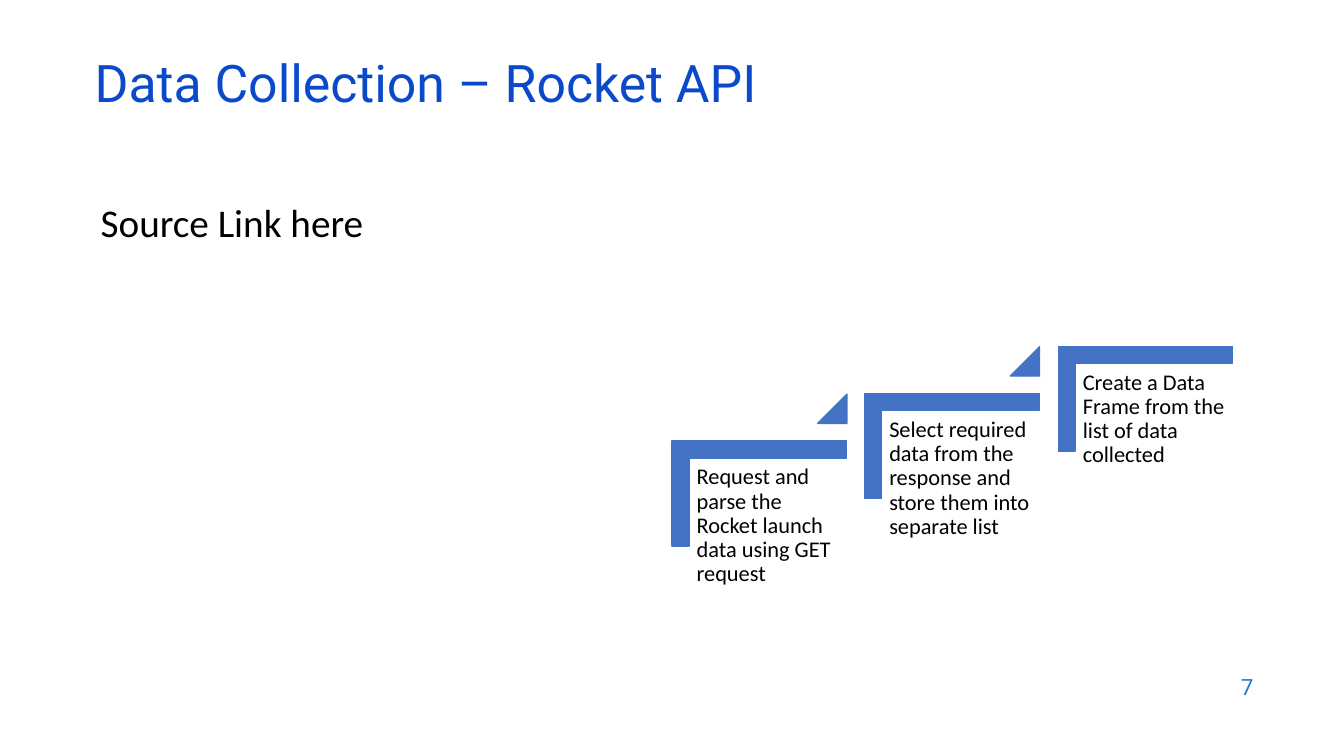
from dataclasses import dataclass
from typing import Any

from pptx import Presentation
from pptx.dml.color import RGBColor
from pptx.enum.shapes import MSO_SHAPE
from pptx.enum.text import MSO_ANCHOR, PP_ALIGN
from pptx.slide import Slide
from pptx.util import Emu, Pt

SCALE = 9144


@dataclass(frozen=True)
class Theme:
    title: str = "0B49CB"
    page: str = "1C7DDB"
    body: str = "000000"
    step: str = "4472C4"
    head: str = "Roboto"
    text: str = "Calibri"
    large: int = 37
    mid: int = 28
    small: int = 16


@dataclass(frozen=True)
class Box:
    left: int
    top: int
    width: int
    height: int

    def emu(self) -> list[Emu]:
        return [px(n) for n in (self.left, self.top, self.width, self.height)]


@dataclass(frozen=True)
class Label:
    text: str
    box: Box
    font: str
    size: int
    color: str
    frame: dict[str, Any]
    para: dict[str, Any]


@dataclass(frozen=True)
class Mark:
    kind: MSO_SHAPE
    box: Box
    turn: int
    adjust: tuple[float, ...]


THEME = Theme()
STEPS = (
    "Request and parse the Rocket launch data using GET request",
    "Select required data from the response and store them into separate list",
    "Create a Data Frame from the list of data collected",
)


def px(count: int) -> Emu:
    return Emu(count * SCALE)


def apply(target: Any, values: dict[str, Any]) -> None:
    for name, value in values.items():
        setattr(target, name, value)


def write(slide: Slide, label: Label) -> None:
    frame = slide.shapes.add_textbox(*label.box.emu()).text_frame
    apply(frame, {"word_wrap": True, **label.frame})
    para = frame.paragraphs[0]
    apply(para, label.para)
    run = para.add_run()
    run.text = label.text
    apply(run.font, {"name": label.font, "size": Pt(label.size)})
    run.font.color.rgb = RGBColor.from_string(label.color)


def draw(slide: Slide, mark: Mark) -> None:
    shape = slide.shapes.add_shape(mark.kind, *mark.box.emu())
    shape.rotation = mark.turn
    shape.shadow.inherit = False
    for index, value in enumerate(mark.adjust):
        shape.adjustments[index] = value
    shape.fill.solid()
    for color in (shape.fill.fore_color, shape.line.color):
        color.rgb = RGBColor.from_string(THEME.step)
    shape.line.width = Pt(1)


def stair(slide: Slide) -> None:
    sides = ("left", "top", "right", "bottom")
    inset = {f"margin_{side}": px(7) for side in sides}
    for index, text in enumerate(STEPS):
        right, rise = index * 383 // 2, index * 47
        corner = Box(701 + right, 403 - rise, 104, 173)
        draw(slide, Mark(MSO_SHAPE.CORNER, corner, 90, (0.161, 0.161)))
        area = Box(684 + right, 455 - rise, 156, 137)
        write(slide, Label(text, area, THEME.text, THEME.small, THEME.body,
                           inset, {"line_spacing": 0.9}))
        if index < len(STEPS) - 1:
            tip = Box(811 + right, 391 - rise, 29, 29)
            draw(slide, Mark(MSO_SHAPE.ISOSCELES_TRIANGLE, tip, 0, (1.0,)))


def main() -> None:
    deck = Presentation()
    apply(deck, {"slide_width": px(1333), "slide_height": px(750)})
    slide = deck.slides.add_slide(deck.slide_layouts[6])
    middle = {"vertical_anchor": MSO_ANCHOR.MIDDLE}
    labels = (
        Label("7", Box(953, 659, 300, 44), THEME.head, THEME.small,
              THEME.page, middle, {"alignment": PP_ALIGN.RIGHT}),
        Label("Source Link here", Box(90, 197, 507, 462), THEME.text,
              THEME.mid, THEME.body, {}, {"line_spacing": 0.9}),
        Label("Data Collection – Rocket API", Box(84, 59, 1150, 60),
              THEME.head, THEME.large, THEME.title, middle,
              {"line_spacing": 0.7}),
    )
    for label in labels:
        write(slide, label)
    stair(slide)
    deck.save("out.pptx")


if __name__ == "__main__":
    main()
